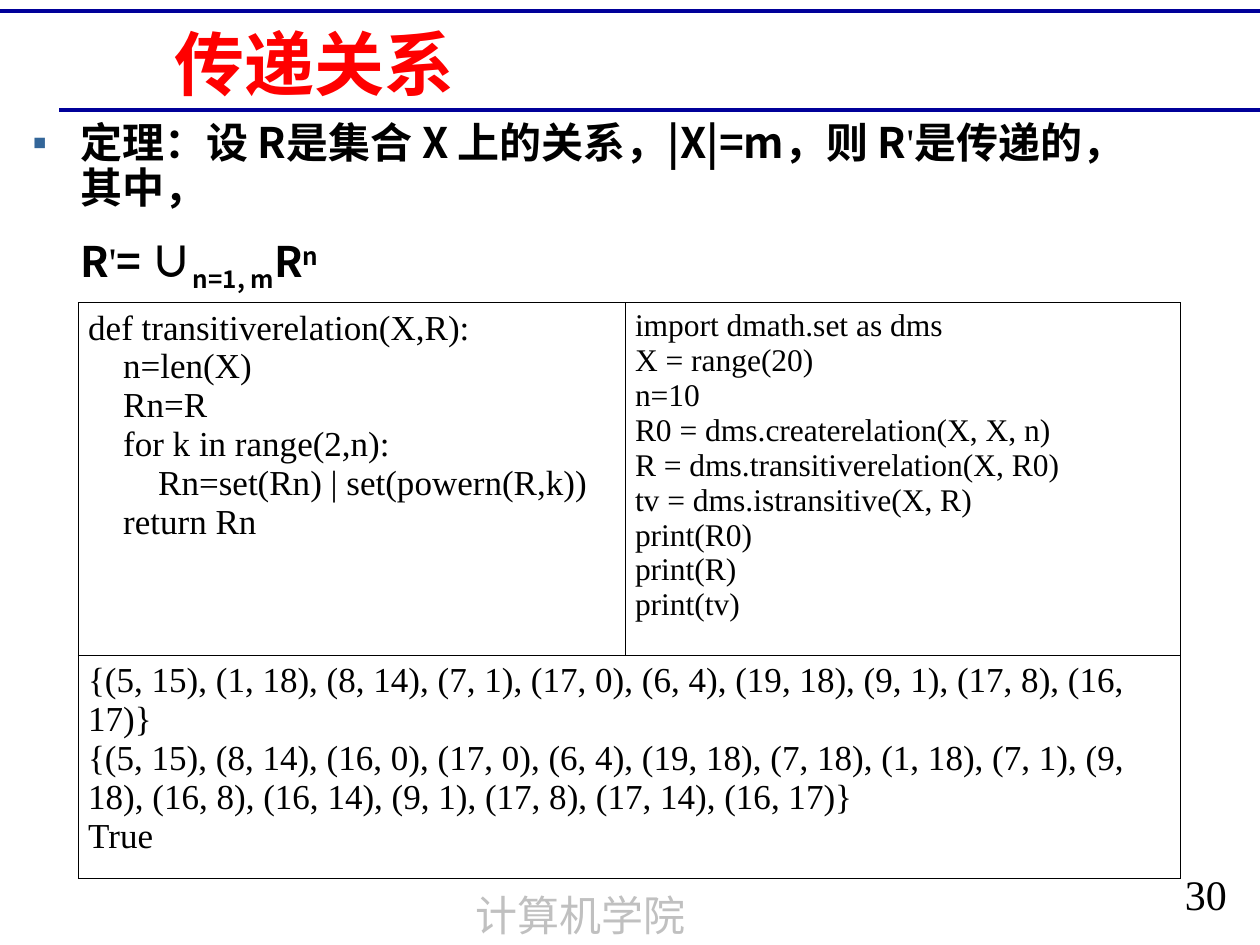
from lxml import etree
from pptx import Presentation
from pptx.dml.color import RGBColor
from pptx.enum.shapes import MSO_CONNECTOR
from pptx.enum.text import MSO_ANCHOR, PP_ALIGN
from pptx.oxml import parse_xml
from pptx.oxml.ns import qn
from pptx.util import Inches, Pt

NS = 'xmlns:a="http://schemas.openxmlformats.org/drawingml/2006/main"'
CJK, LATIN = "Noto Sans CJK SC", "Times New Roman"
LEFT, CENTER = PP_ALIGN.LEFT, PP_ALIGN.CENTER
TOP, MIDDLE = MSO_ANCHOR.TOP, MSO_ANCHOR.MIDDLE
STRAIGHT = MSO_CONNECTOR.STRAIGHT

# Content
RULES = [(0, 0.09), (0.47, 0.87)]  # left end and height; each runs to the right edge
TITLE = "传递关系"
FOOTER = "计算机学院"
PAGE = "30"
# Runs: text, font, bold, baseline shift in percent
THEOREM = [
    ("定理：设 R是集合 X 上的关系，|X|=m，则 R", CJK, True, 0),
    ("'", LATIN, False, 0),
    ("是传递的，其中，", CJK, True, 0),
]
FORMULA = [
    ("R", CJK, True, 0),
    ("'", LATIN, False, 0),
    ("= ∪", CJK, True, 0),
    ("n=1, m", CJK, True, -25),
    ("R", CJK, True, 0),
    ("n", CJK, True, 30),
]
DEFINITION = [
    "def transitiverelation(X,R):",
    "    n=len(X)",
    "    Rn=R",
    "    for k in range(2,n):",
    "        Rn=set(Rn) | set(powern(R,k))",
    "    return Rn",
]
USAGE = [
    "import dmath.set as dms",
    "X = range(20)",
    "n=10",
    "R0 = dms.createrelation(X, X, n)",
    "R = dms.transitiverelation(X, R0)",
    "tv = dms.istransitive(X, R)",
    "print(R0)",
    "print(R)",
    "print(tv)",
]
OUTPUT = [
    "{(5, 15), (1, 18), (8, 14), (7, 1), (17, 0), (6, 4), (19, 18), (9, 1), (17, 8), (16, 17)}",
    "{(5, 15), (8, 14), (16, 0), (17, 0), (6, 4), (19, 18), (7, 18), (1, 18), (7, 1), "
    "(9, 18), (16, 8), (16, 14), (9, 1), (17, 8), (17, 14), (16, 17)}",
    "True",
]
CELLS = {(0, 0): (DEFINITION, 20), (0, 1): (USAGE, 18), (1, 0): (OUTPUT, 20)}
COLUMNS, ROWS = (4.34, 4.41), (2.7, 1.67)


def color(value):
    return RGBColor.from_string(value)


def style(font, name, size, fill, bold=False):
    font.name, font.size, font.bold = name, Pt(size), bold
    font.fill.solid()
    font.fill.fore_color.rgb = color(fill)
    latin = font._rPr.find(qn("a:latin"))
    latin.addnext(parse_xml(f'<a:ea {NS} typeface="{name}"/>'))


def add_box(left, top, width, height, anchor=TOP):
    box = slide.shapes.add_textbox(*map(Inches, (left, top, width, height)))
    box.text_frame.word_wrap = True
    box.text_frame.vertical_anchor = anchor
    return box.text_frame


def add_label(place, text, name, size, fill, align, bold=False, anchor=TOP):
    paragraph = add_box(*place, anchor).paragraphs[0]
    paragraph.alignment = align
    paragraph.text = text
    style(paragraph.font, name, size, fill, bold)


def add_runs(paragraph, runs):
    paragraph.line_spacing = 0.9
    paragraph.space_after = Pt(6)
    for text, name, bold, shift in runs:
        run = paragraph.add_run()
        run.text = text
        style(run.font, name, 24, "000000", bold)
        if shift:
            run.font._rPr.set("baseline", str(shift * 1000))


def add_borders(cell):
    properties = cell._tc.get_or_add_tcPr()
    for index, side in enumerate(("lnL", "lnR", "lnT", "lnB")):
        properties.insert(index, parse_xml(
            f'<a:{side} {NS} w="{Pt(0.45)}"><a:solidFill>'
            f'<a:srgbClr val="000000"/></a:solidFill></a:{side}>'))


presentation = Presentation()
presentation.slide_width, presentation.slide_height = Inches(10), Inches(7.5)
slide = presentation.slides.add_slide(presentation.slide_layouts[6])

# Rules above and below the title
for left, height in RULES:
    rule = slide.shapes.add_connector(
        STRAIGHT, Inches(left), Inches(height), Inches(10), Inches(height))
    rule.line.color.rgb = color("000099")
    rule.line.width = Pt(2.25)
    etree.SubElement(rule._element.spPr, qn("a:effectLst"))

# Footer, page number and title
add_label((3.14, 7.01, 2.93, 0.5), FOOTER, CJK, 24, "C0C0C0", CENTER)
add_label((9.14, 6.84, 0.86, 0.5), PAGE, LATIN, 24, "000000", CENTER)
add_label((1.29, 0.21, 8.14, 0.58), TITLE, CJK, 40, "FF0000", LEFT, True, MIDDLE)

# Code and output table
table = slide.shapes.add_table(
    2, 2, Inches(0.62), Inches(2.4), Inches(sum(COLUMNS)), Inches(sum(ROWS))).table
table.first_row = table.horz_banding = False
for column, width in zip(table.columns, COLUMNS):
    column.width = Inches(width)
for row, height in zip(table.rows, ROWS):
    row.height = Inches(height)
table.cell(1, 0).merge(table.cell(1, 1))
for cell in table.iter_cells():
    cell.fill.background()
    cell.margin_left = cell.margin_right = Inches(0.08)
    cell.margin_top = cell.margin_bottom = Inches(0.05)
    add_borders(cell)
for (row, column), (lines, size) in CELLS.items():
    frame = table.cell(row, column).text_frame
    frame.text = "\n".join(lines)
    for paragraph in frame.paragraphs:
        style(paragraph.font, LATIN, size, "000000")

# Theorem with its formula
frame = add_box(0.16, 0.92, 9.1, 1.35)
theorem, formula = frame.paragraphs[0], frame.add_paragraph()
for paragraph, indent in ((theorem, -0.38), (formula, 0)):
    properties = paragraph._p.get_or_add_pPr()
    properties.set("marL", str(Inches(0.38)))
    properties.set("indent", str(Inches(indent)))
bullet = theorem._p.get_or_add_pPr()
bullet.append(parse_xml(f'<a:buClr {NS}><a:srgbClr val="336699"/></a:buClr>'))
bullet.append(parse_xml(f'<a:buFont {NS} typeface="{LATIN}"/>'))
bullet.append(parse_xml(f'<a:buChar {NS} char="▪"/>'))
add_runs(theorem, THEOREM)
add_runs(formula, FORMULA)
formula.space_before = Pt(7.5)

presentation.save("out.pptx")
